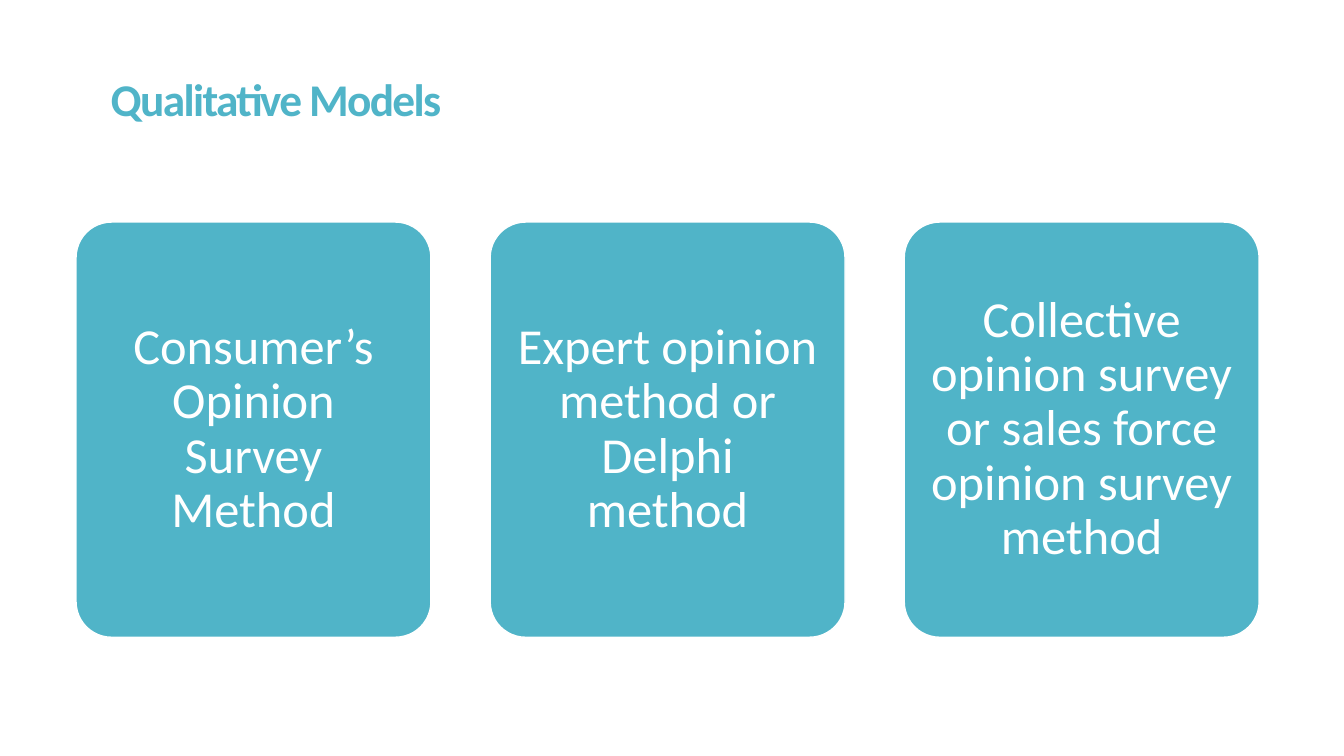
from pptx import Presentation
from pptx import util as u
from pptx.dml.color import RGBColor
from pptx.enum import shapes, text

# Content
TITLE = "Qualitative Models"
METHODS = [
    "Consumer’s Opinion Survey Method",
    "Expert opinion method or Delphi method",
    "Collective opinion survey or sales force opinion survey method",
]


class Theme:
    font = "Calibri"
    teal = RGBColor(0x50, 0xB4, 0xC8)
    white = RGBColor(0xFF, 0xFF, 0xFF)
    title_size = 32.4
    card_size = 36


# Layout, in points
SLIDE_W, SLIDE_H = 960, 540
TITLE_BOX = (72, 53.3, 680, 62.6)
CARD_LEFT, CARD_TOP, CARD_W, CARD_H = 54.3, 158.6, 253.5, 296.6
CARD_GAP = 42.3
CARD_INSET = 10.8


def style(p, size, color, spacing):
    p.line_spacing = spacing
    for r in p.runs:
        r.font.name = Theme.font
        r.font.size = u.Pt(size)
        r.font.color.rgb = color


prs = Presentation()
prs.slide_width, prs.slide_height = u.Pt(SLIDE_W), u.Pt(SLIDE_H)
s = prs.slides.add_slide(prs.slide_layouts[6])

# Title
tf = s.shapes.add_textbox(*map(u.Pt, TITLE_BOX)).text_frame
tf.word_wrap = True
tf.text = TITLE
p = tf.paragraphs[0]
style(p, Theme.title_size, Theme.teal, 0.85)
r = p.runs[0]
r.font.bold = True
r.font._element.set("spc", "-120")

# Row of method cards
for i, method in enumerate(METHODS):
    left = CARD_LEFT + i * (CARD_W + CARD_GAP)
    sp = s.shapes.add_shape(shapes.MSO_SHAPE.ROUNDED_RECTANGLE,
                            u.Pt(left), u.Pt(CARD_TOP), u.Pt(CARD_W), u.Pt(CARD_H))
    sp.adjustments[0] = 0.1
    sp.shadow.inherit = False
    sp.fill.solid()
    sp.fill.fore_color.rgb = Theme.teal
    sp.line.color.rgb = Theme.white
    sp.line.width = u.Pt(1)
    tf = sp.text_frame
    tf.word_wrap = True
    tf.vertical_anchor = text.MSO_ANCHOR.MIDDLE
    tf.margin_left = tf.margin_right = u.Pt(CARD_INSET)
    tf.margin_top = tf.margin_bottom = u.Pt(CARD_INSET)
    tf.text = method
    p = tf.paragraphs[0]
    p.alignment = text.PP_ALIGN.CENTER
    style(p, Theme.card_size, Theme.white, 0.9)

prs.save("out.pptx")
